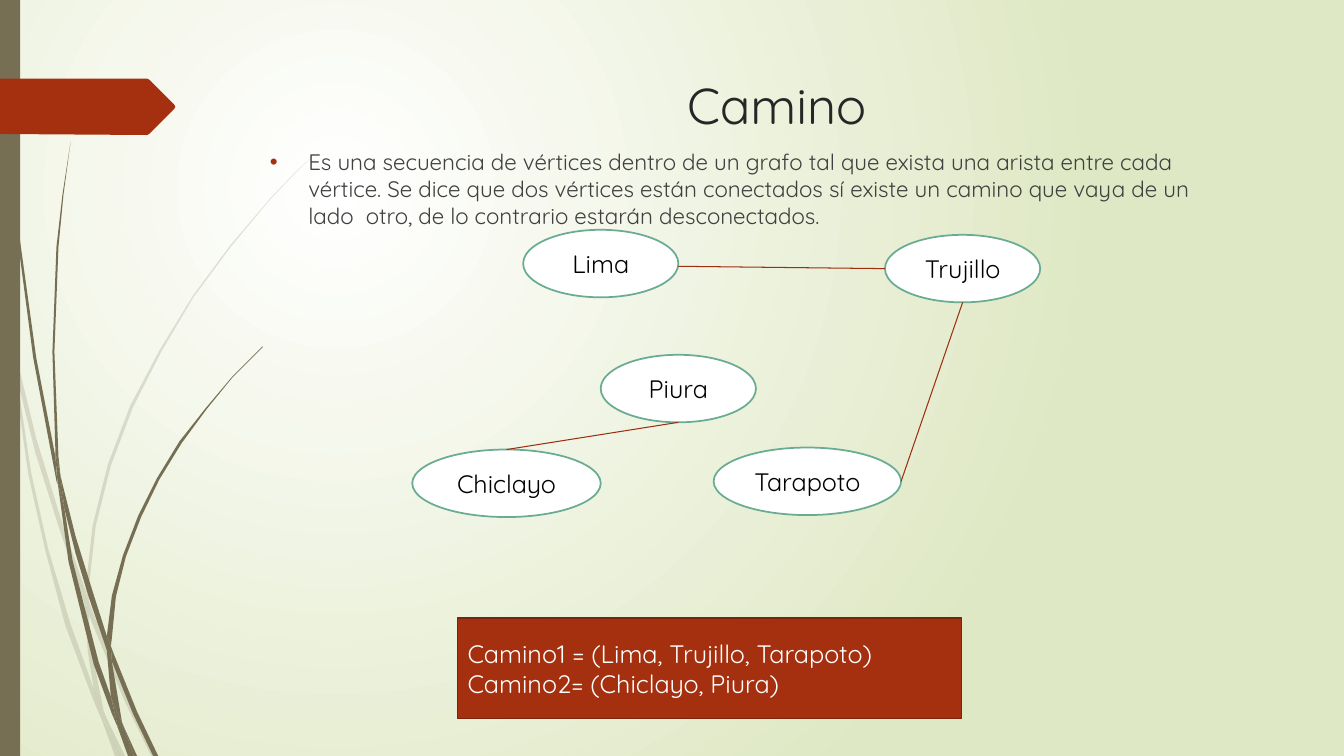
import lxml.etree
import pptx
import pptx.dml.color
import pptx.enum.shapes
import pptx.enum.text
import pptx.oxml
import pptx.oxml.ns
import pptx.util

THEME = {
    "font": "Quicksand",
    "title": 36, "body": 16, "label": 18,
    "stalk": "766F54", "accent": "A53010", "accent edge": "7A240C",
    "edge": "9E2E0F", "node edge": "6AAC91", "node": "FFFFFF",
    "title ink": "262626", "body ink": "404040", "node ink": "000000",
    "light": "FFFFFF", "meadow": "DFE8C4",
}
SHAPE = pptx.enum.shapes.MSO_SHAPE
ALIGN = pptx.enum.text.PP_ALIGN
ANCHOR = pptx.enum.text.MSO_ANCHOR
qn = pptx.oxml.ns.qn
rgb = pptx.dml.color.RGBColor.from_string

deck = pptx.Presentation()
deck.slide_width = pptx.util.Inches(40 / 3)
deck.slide_height = pptx.util.Inches(7.5)
ROWS = 7.5
cell = deck.slide_height / ROWS
page = deck.slides.add_slide(deck.slide_layouts[6])


def write(box, text, size, ink, align, anchor):
    frame = box.text_frame
    frame.word_wrap = True
    frame.vertical_anchor = anchor
    frame.text = text
    for para in frame.paragraphs:
        para.alignment = align
        for span in para.runs:
            span.font.name = THEME["font"]
            span.font.size = pptx.util.Pt(THEME[size])
            span.font.color.rgb = rgb(THEME[ink])


def paint(block, fill, edge=None):
    block.shadow.inherit = False
    block.fill.solid()
    block.fill.fore_color.rgb = rgb(THEME[fill])
    if edge:
        block.line.color.rgb = rgb(THEME[edge])
        block.line.width = pptx.util.Pt(1.25)
    else:
        block.line.fill.background()


# Background: radial gradient centred in the upper left quarter
backdrop = page.background.fill
backdrop.gradient()
for stop, colour in zip(backdrop.gradient_stops, ("light", "meadow")):
    stop.color.rgb = rgb(THEME[colour])
gradient = page.element.find(".//" + qn("a:gradFill"))
gradient.replace(gradient.find(qn("a:lin")), pptx.oxml.parse_xml(
    f'<a:path {pptx.oxml.ns.nsdecls("a")} path="circle">'
    '<a:fillToRect l="50000" t="50000" r="100000" b="100000"/></a:path>'))

# Grass: corners (column, row) of the pieces that make up each tuft
pale_tuft = [
    [(.11, 3.5), (.09, 3.22), (0, 2.82), (0, 2.99), (.1, 3.44)],
    [(.58, 5.22), (.84, 5.99), (.85, 5.86), (.62, 5.2), (.36, 4.35), (.14, 3.45),
     (.17, 3.76), (.35, 4.49)],
    [(.92, 6.07), (.88, 5.96), (.88, 6.1), (1.23, 6.94), (1.5, 7.5), (1.55, 7.5),
     (1.27, 6.92)],
    [(1.19, 7.5), (1.24, 7.5), (1.05, 7.11)],
    [(.93, 6.83), (.7, 6.19), (.48, 5.45), (.31, 4.69), (.17, 3.76), (.11, 3.5),
     (.28, 4.7), (.45, 5.46), (.65, 6.21), (.92, 6.93), (1.01, 7.14), (.99, 7.07)],
    [(.84, 5.99), (.87, 6.46), (.93, 6.83), (.96, 6.92), (1.05, 7.11), (1.03, 7.06),
     (.91, 6.46), (.88, 6.1), (.88, 6.08)],
    [(.88, 5.84), (.95, 5.22), (1.1, 4.62), (1.32, 4.04), (1.6, 3.49), (1.92, 2.95),
     (2.29, 2.45), (2.68, 1.98), (2.9, 1.75), (3.12, 1.53), (2.89, 1.75), (2.68, 1.97),
     (2.28, 2.44), (1.91, 2.94), (1.58, 3.48), (1.29, 4.03), (1.07, 4.61), (.92, 5.21),
     (.85, 5.84), (.88, 5.96)],
    [(1.01, 7.14), (1.14, 7.5), (1.19, 7.5)],
    [(.88, 6.08), (.88, 5.96), (.85, 5.86), (.84, 5.99)],
    [(.96, 6.92), (.93, 6.83), (.99, 7.07), (1.01, 7.14), (1.19, 7.5), (1.05, 7.11)],
]
dark_tuft = [
    [(.07, 1.1), (.17, 2.33), (.33, 3.55), (.56, 4.77), (.57, 4.81), (.55, 4.53),
     (.36, 3.55), (.19, 2.32), (.08, 1.09), (.05, .48), (.04, 0), (.03, 0), (.04, .48)],
    [(.88, 5.92), (1.06, 6.45), (1.06, 6.31), (.93, 5.9), (.75, 5.32), (.6, 4.72),
     (.64, 5.05), (.75, 5.49)],
    [(1.13, 6.49), (1.1, 6.41), (1.11, 6.56), (1.32, 7.08), (1.52, 7.5), (1.57, 7.5),
     (1.36, 7.06)],
    [(1.1, 6.91), (.98, 6.57), (.72, 5.56), (.64, 5.05), (.57, 4.77), (.68, 5.57),
     (.93, 6.59), (1.11, 7.08), (1.17, 7.22), (1.16, 7.17)],
    [(.6, 4.72), (.58, 4.53), (.54, 3.49), (.58, 2.45), (.63, 1.93), (.7, 1.41),
     (.62, 1.93), (.56, 2.45), (.52, 3.49), (.55, 4.49)],
    [(1.33, 7.5), (1.36, 7.5), (1.22, 7.19)],
    [(.57, 4.77), (.64, 5.05), (.6, 4.72), (.55, 4.49), (.55, 4.53)],
    [(1.11, 6.33), (1.15, 5.92), (1.25, 5.52), (1.4, 5.13), (1.58, 4.76), (1.8, 4.4),
     (2.05, 4.06), (2.31, 3.74), (2.61, 3.44), (2.6, 3.44), (2.31, 3.73), (2.04, 4.05),
     (1.78, 4.38), (1.56, 4.74), (1.37, 5.12), (1.22, 5.51), (1.11, 5.91), (1.06, 6.31),
     (1.1, 6.41)],
    [(1.17, 7.22), (1.27, 7.5), (1.31, 7.5)],
    [(1.06, 6.45), (1.1, 6.91), (1.16, 7.06), (1.22, 7.19), (1.21, 7.16), (1.11, 6.56),
     (1.09, 6.51)],
    [(1.06, 6.45), (1.11, 6.56), (1.1, 6.41), (1.06, 6.31)],
    [(1.16, 7.06), (1.1, 6.91), (1.16, 7.17), (1.17, 7.22), (1.3, 7.5), (1.33, 7.5),
     (1.22, 7.19)],
]
marker = [(1.73, 1.08), (1.48, 1.33), (1.46, 1.34), (0, 1.33), (0, .78), (1.46, .78),
          (1.48, .79), (1.73, 1.04), (1.74, 1.06)]

pale_group = page.shapes.add_group_shape()
dark_group = page.shapes.add_group_shape()
spine = page.shapes.add_shape(
    SHAPE.RECTANGLE, 0, 0, round(.2 * cell), deck.slide_height)
paint(spine, "stalk")
for layer, outlines, fill, opacity in (
        (pale_group, pale_tuft, "stalk", 20),
        (dark_group, dark_tuft, "stalk", 100),
        (page, [marker], "accent", 100)):
    for outline in outlines:
        corners = [(x * cell, y * cell) for x, y in outline]
        pen = layer.shapes.build_freeform(*corners[0])
        pen.add_line_segments(corners[1:], close=True)
        piece = pen.convert_to_shape()
        paint(piece, fill)
        if opacity < 100:
            tint = piece.element.spPr.find(".//" + qn("a:srgbClr"))
            lxml.etree.SubElement(tint, qn("a:alpha")).set("val", str(opacity * 1000))

# Title and definition
title = page.shapes.add_textbox(*[round(v * cell) for v in (2.83, .69, 9.75, 1.4)])
write(title, "Camino", "title", "title ink", ALIGN.CENTER, ANCHOR.TOP)
body = page.shapes.add_textbox(*[round(v * cell) for v in (2.58, 1.42, 9.75, 6.08)])
write(body, "Es una secuencia de vértices dentro de un grafo tal que exista una arista "
      "entre cada vértice. Se dice que dos vértices están conectados sí existe un "
      "camino que vaya de un lado  otro, de lo contrario estarán desconectados.",
      "body", "body ink", ALIGN.LEFT, ANCHOR.TOP)
props = body.text_frame.paragraphs[0]._p.get_or_add_pPr()
props.set("marL", str(round(.38 * cell)))
props.set("indent", str(round(-.38 * cell)))
bullet_colour = lxml.etree.SubElement(props, qn("a:buClr"))
lxml.etree.SubElement(bullet_colour, qn("a:srgbClr")).set("val", THEME["accent"])
lxml.etree.SubElement(props, qn("a:buFont")).set("typeface", "Arial")
lxml.etree.SubElement(props, qn("a:buChar")).set("char", "•")

# Graph: cities as nodes (left, top, width), roads as edges
NODE_HEIGHT = .67
cities = {
    "Chiclayo": (4.09, 4.46, 1.87),
    "Trujillo": (8.78, 2.33, 1.54),
    "Tarapoto": (7.08, 4.44, 1.86),
    "Piura": (5.96, 3.52, 1.54),
    "Lima": (5.19, 2.28, 1.54),
}
for city, (left, top, width) in cities.items():
    node = page.shapes.add_shape(
        SHAPE.OVAL, *[round(v * cell) for v in (left, top, width, NODE_HEIGHT)])
    paint(node, "node", "node edge")
    write(node, city, "label", "node ink", ALIGN.CENTER, ANCHOR.MIDDLE)

# Joints as shares of a node's width and height
roads = [
    ("Lima", (1, .54), "Trujillo", (0, .5)),
    ("Tarapoto", (1, .5), "Trujillo", (.5, 1)),
    ("Chiclayo", (.5, 0), "Piura", (.5, 1)),
]
for origin, exit_joint, target, entry_joint in roads:
    joints = []
    for city, (across, down) in ((origin, exit_joint), (target, entry_joint)):
        left, top, width = cities[city]
        joints += [round((left + across * width) * cell),
                   round((top + down * NODE_HEIGHT) * cell)]
    road = page.shapes.add_connector(pptx.enum.shapes.MSO_CONNECTOR.STRAIGHT, *joints)
    road.line.color.rgb = rgb(THEME["edge"])
    road.line.width = pptx.util.Pt(.75)
    lxml.etree.SubElement(road.element.spPr, qn("a:effectLst"))

# Resulting paths
paths_box = page.shapes.add_shape(
    SHAPE.RECTANGLE, *[round(v * cell) for v in (4.54, 6.13, 5, 1)])
paint(paths_box, "accent", "accent edge")
write(paths_box, "Camino1 = (Lima, Trujillo, Tarapoto)\nCamino2= (Chiclayo, Piura)",
      "label", "light", ALIGN.LEFT, ANCHOR.MIDDLE)

deck.save("out.pptx")
